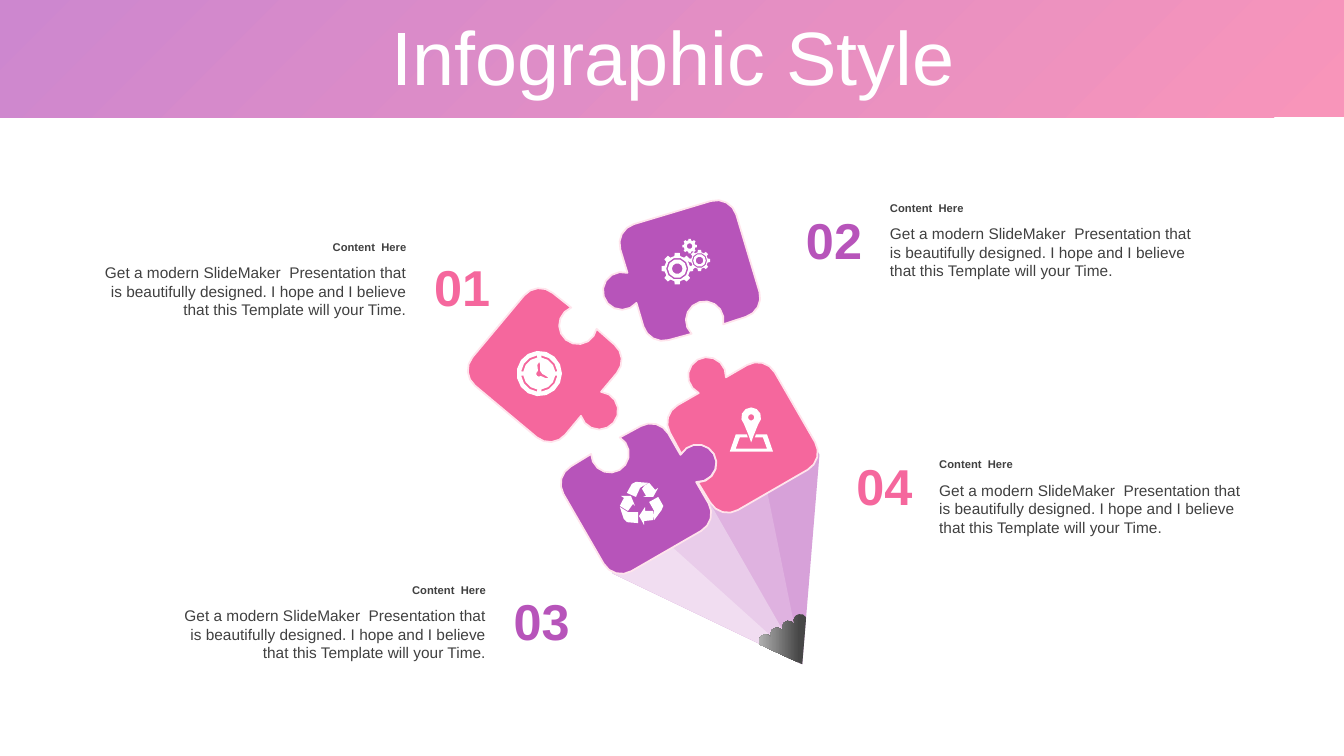
from math import cos, radians, sin

from pptx import Presentation
from pptx.dml.color import RGBColor
from pptx.enum.shapes import MSO_SHAPE
from pptx.enum.text import MSO_ANCHOR, PP_ALIGN
from pptx.util import Pt

RECT = MSO_SHAPE.RECTANGLE
MIDDLE, TOP = MSO_ANCHOR.MIDDLE, MSO_ANCHOR.TOP
LEFT, CENTER, RIGHT = PP_ALIGN.LEFT, PP_ALIGN.CENTER, PP_ALIGN.RIGHT

WHITE = RGBColor(0xFF, 0xFF, 0xFF)
PINK = RGBColor(0xF5, 0x67, 0x9D)
PURPLE = RGBColor(0xB7, 0x54, 0xBA)
BLUSH = RGBColor(0xFF, 0xE4, 0xEC)
SOFT_PINK = RGBColor(0xF8, 0x95, 0xBA)
SOFT_PURPLE = RGBColor(0xCD, 0x87, 0xCF)
DARK = RGBColor(0x40, 0x40, 0x40)
LEAD = RGBColor(0x47, 0x47, 0x47)
SILVER = RGBColor(0xB0, 0xB0, 0xB0)
WOOD = [RGBColor(0xD7, 0xA1, 0xD9), RGBColor(0xDF, 0xB2, 0xE0),
        RGBColor(0xE9, 0xCC, 0xEA), RGBColor(0xF1, 0xDD, 0xF1)]

deck = Presentation()
deck.slide_width, deck.slide_height = Pt(960), Pt(540)
slide = deck.slides.add_slide(deck.slide_layouts[6])
shapes = slide.shapes


def arc(x, y, r, start=0, end=360):
    """Points along an arc; angles run clockwise from the right."""
    steps = max(2, round(abs(end - start) / (24 if r > 10 else 36)))
    turns = [radians(start + (end - start) * i / steps) for i in range(steps + 1)]
    return [(x + r * cos(t), y + r * sin(t)) for t in turns]


def trace(loops, color):
    """Fill one freeform made of closed loops; inner loops are holes."""
    pen = None
    for loop in loops:
        dots = [(Pt(x), Pt(y)) for x, y in loop]
        if pen is None:
            pen = shapes.build_freeform(*dots[0], scale=1.0)
        else:
            pen.move_to(*dots[0])
        pen.add_line_segments(dots[1:], close=True)
    shape = pen.convert_to_shape()
    shape.shadow.inherit = False
    shape.fill.solid()
    shape.fill.fore_color.rgb = color
    shape.line.fill.background()
    return shape


# Header band
band = shapes.add_shape(RECT, Pt(0), Pt(0), Pt(960), Pt(83.8))
band.shadow.inherit = False
band.line.fill.background()

# Pencil wood, each strip fanning out from the tip
TIP = (573.1, 474.5)
EDGES = [[(573.1, 303.8), (585.4, 324.7)], [(537.1, 324.7), (545.8, 339.8)],
         [(499.7, 347), (508.3, 361.4)], [(462.2, 368.6), (471.6, 383)]]
for edge, color in zip(EDGES, WOOD):
    trace([[(426.2, 388.8), *edge, TIP, (437.8, 409.7)]], color)

# Pencil lead with four scallops
lead = [TIP]
for i in range(4):
    lead += arc(546.8 + 8.3 * i, 457.9 - 4.85 * i, 4.8, 150, 330)
point = trace([lead], LEAD)

# Gradients
for shape, angle, colors in [(band, 135, (SOFT_PINK, SOFT_PURPLE)),
                             (point, 180, (LEAD, SILVER))]:
    shape.fill.gradient()
    shape.fill.gradient_angle = angle
    for stop, color in zip(shape.fill.gradient_stops, colors):
        stop.color.rgb = color
point.fill.gradient_stops[0].position = 0.15

# Puzzle pieces: one outline, turned about its centre
piece = (arc(-28.8, -39.2, 14.4, 180, 270) + arc(28.8, -39.2, 14.4, 270, 360)
         + arc(37.1, -10.4, 13.5, -61, -299) + arc(28.8, 18.4, 14.4, 0, 90)
         + arc(0, 40.3, 13.5, -34, 214) + arc(-28.8, 18.4, 14.4, 90, 180))
for mid_x, mid_y, angle, color in [(463.3, 351, 240, PURPLE), (482.8, 196.2, 73.3, PURPLE),
                                   (525.2, 303.5, 150, PINK), (397.1, 267.5, 309.9, PINK)]:
    c, s = cos(radians(angle)), sin(radians(angle))
    shape = trace([[(mid_x + x * c - y * s, mid_y + x * s + y * c) for x, y in piece]], color)
    shape.line.color.rgb = BLUSH
    shape.line.width = Pt(1.25)

# Gears icon
for x, y, root, outer, rings in [(483.8, 191.9, 9.2, 11.4, (7.9, 6.7, 3.8)),
                                 (499.7, 186.1, 6, 7.6, (5.4, 4.5, 2.7)),
                                 (492.6, 175.8, 4.2, 5.3, (2,))]:
    rim = []
    for tooth in range(0, 360, 45):
        for r, shift in [(root, -13), (outer, -9), (outer, 9), (root, 13)]:
            turn = radians(tooth + shift)
            rim.append((x + r * cos(turn), y + r * sin(turn)))
    trace([rim] + [arc(x, y, r) for r in rings], WHITE)

# Map pin icon
MAP = [(525.6, 310.3), (533.5, 310.3), (534.2, 312.5), (528.5, 312.5), (525.6, 320.4),
       (547.9, 320.4), (545, 312.5), (539.3, 312.5), (540, 310.3), (547.9, 310.3),
       (552.2, 322.6), (521.3, 322.6)]
pin = arc(536.6, 298.1, 7.1, 135, 405) + [(538.4, 311), (536.6, 316), (534.8, 311)]
trace([MAP, pin, arc(536.6, 298.1, 2.2)], WHITE)

# Recycling icon
trace([
    [(460.8, 362.2), (460.8, 365), (466.6, 365), (467.2, 368.3), (466.6, 371.5),
     (460.1, 372.2), (460.1, 375.1), (456.5, 368.6)],
    [(442.8, 362.2), (448.6, 365.8), (455.8, 365.8), (455.8, 373.7), (447.8, 373),
     (445.5, 370.5)],
    [(470.2, 355), (473.8, 361.4), (472.5, 364.5), (467.3, 371.5), (467.3, 365),
     (463.7, 358.6)],
    [(443.5, 354.2), (450.7, 354.2), (453.6, 361.4), (452.2, 360), (448.6, 365),
     (442.8, 361.4), (445.7, 355.7)],
    [(463.7, 344.9), (468, 349.9), (470.2, 348.5), (466.6, 355),
     (459.4, 355), (461.5, 354.2), (458.6, 349.2), (460.3, 347)],
    [(454.3, 344.2), (463, 344.9), (457.2, 348.5), (454.3, 355), (447.8, 352.1),
     (451.4, 345.6)],
], WHITE)

# Clock icon
hands = ([(385.2, 258.5), (383.8, 260.6), (384.3, 265)] + arc(385, 267, 2, 240, 50)
         + [(389.5, 270), (391.7, 270), (390.2, 268.6), (387.4, 267.1),
            (385.9, 265), (385.9, 260.6)])
clock = [arc(385.2, 266.8, 16.2), hands]
for angle in range(0, 360, 90):
    clock.append(arc(385.2, 266.8, 13, angle + 7, angle + 83)
                 + arc(385.2, 266.8, 11.5, angle + 83, angle + 7))
trace(clock, WHITE)

# Texts: left, top, width, height, wording, alignment, anchor, format
BODY = ("Get a modern SlideMaker  Presentation that is beautifully designed. "
        "I hope and I believe that this Template will your Time.")
HEAD_FONT = {"size": Pt(8), "bold": True}
BODY_FONT = {"size": Pt(11)}
texts = [(25.2, 15.1, 911.5, 56.9, "Infographic Style", CENTER, MIDDLE, {"size": Pt(54)}, WHITE)]
for num, num_x, num_y, x, y, width, side, color in [
        ("01", 297.4, 179.3, 63.4, 167.6, 234, RIGHT, PINK),
        ("02", 563, 145.4, 628.6, 139.9, 231.8, LEFT, PURPLE),
        ("03", 354.2, 417.6, 120.2, 412.7, 234, RIGHT, PURPLE),
        ("04", 599, 321.1, 663.8, 323, 231.8, LEFT, PINK)]:
    texts += [
        (num_x, num_y, 65.5, 51.1, num, CENTER, MIDDLE, {"size": Pt(36), "bold": True}, color),
        (x, y, width, 17.3, "Content  Here", side, MIDDLE, HEAD_FONT, DARK),
        (x, y + 16.9, width, 47.5, BODY, side, TOP, BODY_FONT, DARK)]

for x, y, width, height, words, side, anchor, look, color in texts:
    frame = shapes.add_textbox(Pt(x), Pt(y), Pt(width), Pt(height)).text_frame
    frame.word_wrap = True
    frame.vertical_anchor = anchor
    para = frame.paragraphs[0]
    para.alignment = side
    if color == WHITE:
        para.line_spacing = 0.9
    run = para.add_run()
    run.text = words
    for key, value in {"name": "Arial", **look}.items():
        setattr(run.font, key, value)
    run.font.color.rgb = color

deck.save("out.pptx")
